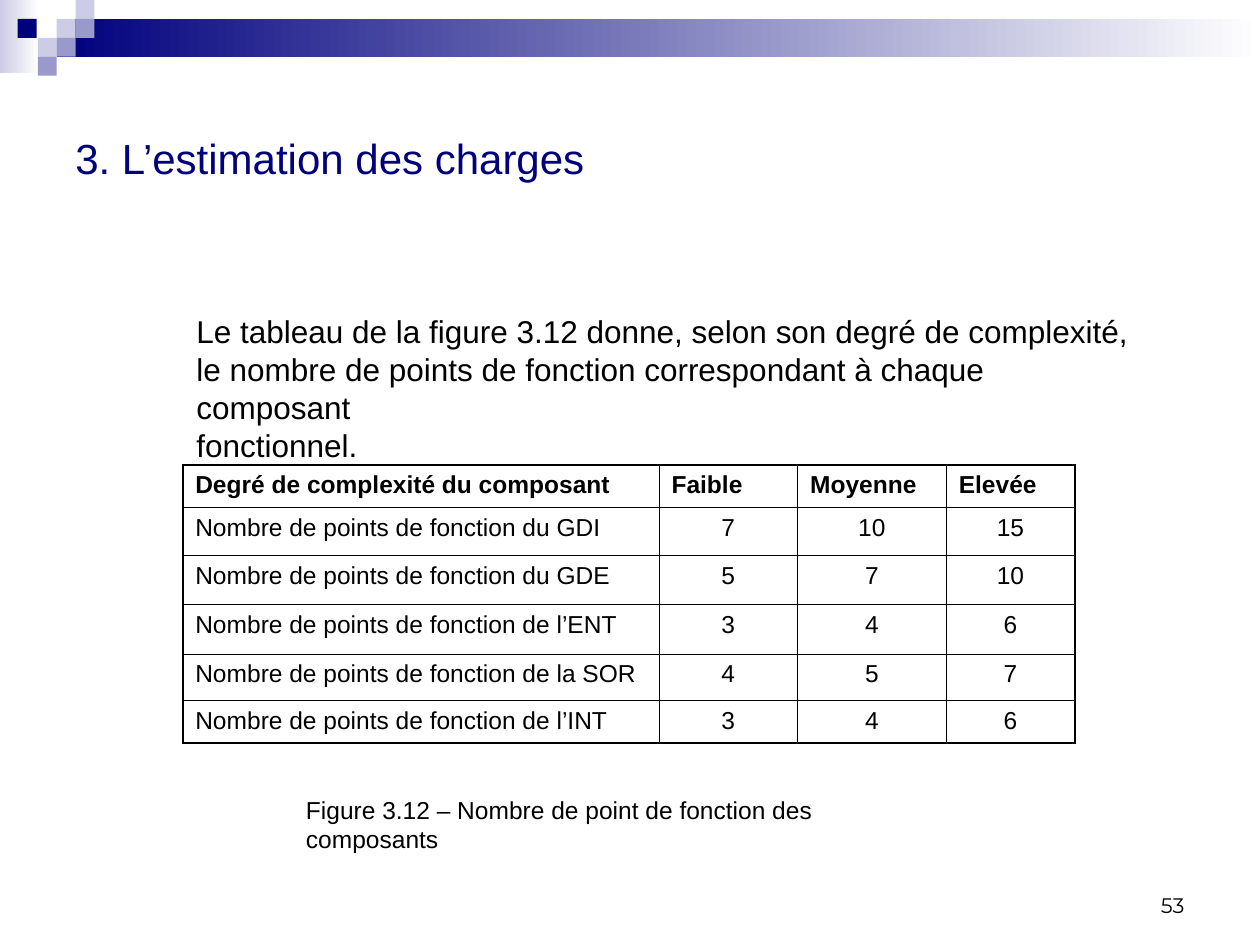
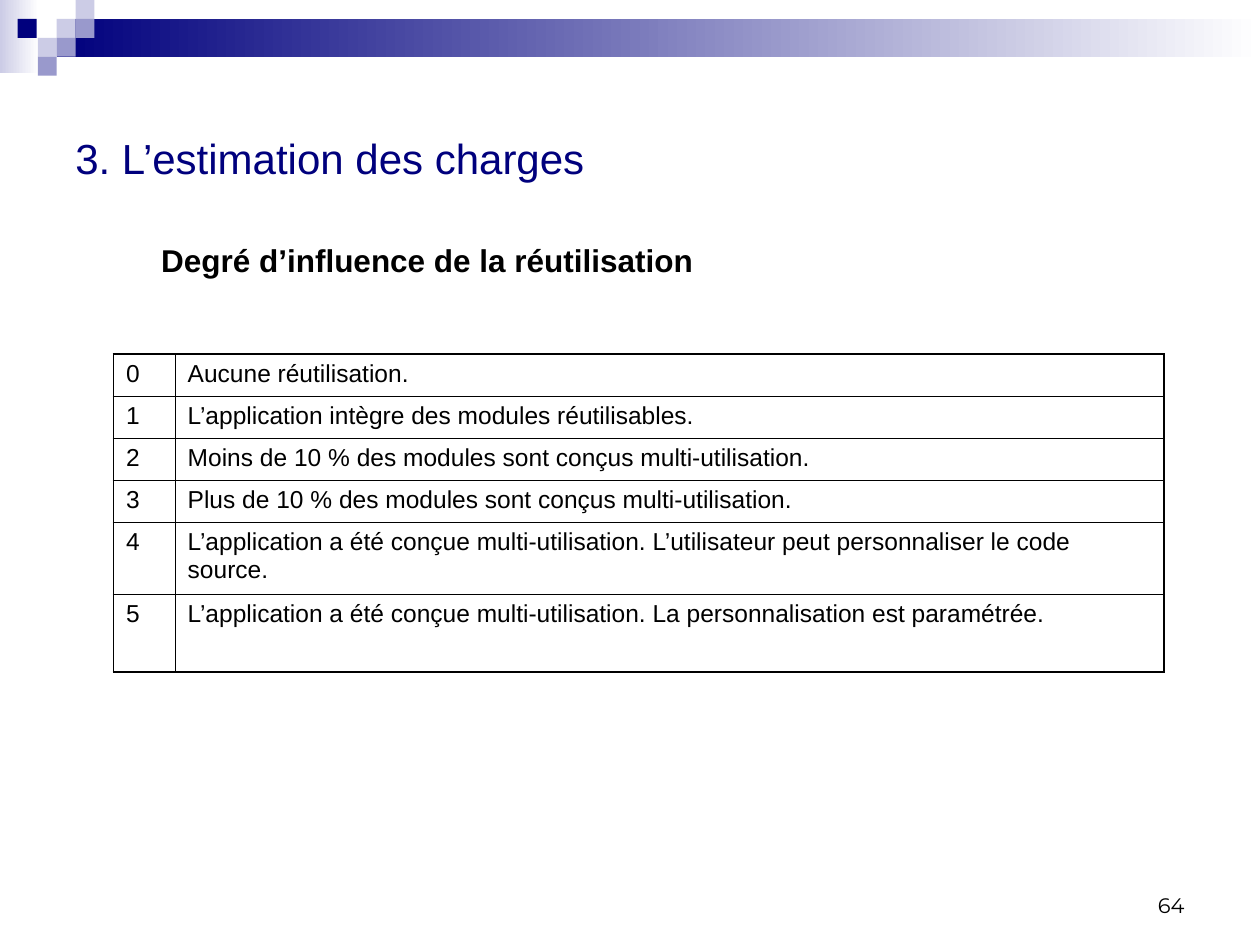
import pptx
import pptx.util
import pptx.dml.color
import pptx.enum.shapes
import pptx.enum.text
import pptx.oxml
from lxml import etree

Inches = pptx.util.Inches
ALIGN = pptx.enum.text.PP_ALIGN
ANCHOR = pptx.enum.text.MSO_ANCHOR

# Content
TITLE = "3. L’estimation des charges"
SLIDES = [
    {
        "number": "53",
        "texts": [
            {"lines": ["Figure 3.12 – Nombre de point de fonction des composants"],
             "at": (2.33, 6.26, 5.32, 0.34), "font": {"size": 14}, "wrap": False},
            {"lines": ["Le tableau de la figure 3.12 donne, selon son degré de complexité,",
                       "le nombre de points de fonction correspondant à chaque composant",
                       "fonctionnel."],
             "at": (1.46, 2.43, 7.74, 1), "font": {"size": 18}, "wrap": False},
        ],
        "table": {
            "at": (1.45, 3.69),
            "columns": [3.78, 1.1, 1.18, 1.02],
            "heights": [0.34, 0.38, 0.39, 0.39, 0.37, 0.34],
            "header": True,
            "rows": [
                ("Degré de complexité du composant", "Faible", "Moyenne", "Elevée"),
                ("Nombre de points de fonction du GDI", "7", "10", "15"),
                ("Nombre de points de fonction du GDE", "5", "7", "10"),
                ("Nombre de points de fonction de l’ENT", "3", "4", "6"),
                ("Nombre de points de fonction de la SOR", "4", "5", "7"),
                ("Nombre de points de fonction de l’INT", "3", "4", "6"),
            ],
        },
    },
    {
        "number": "64",
        "texts": [
            {"lines": ["Degré d’influence de la réutilisation"],
             "at": (0.51, 1.81, 9.13, 5.64), "font": {"size": 18, "bold": True},
             "margins": {"margin_left": 0.77, "margin_top": 0.1}},
        ],
        "table": {
            "at": (0.9, 2.81),
            "columns": [0.49, 7.85],
            "heights": [0.33, 0.33, 0.33, 0.33, 0.57, 0.62],
            "header": False,
            "rows": [
                ("0", "Aucune réutilisation."),
                ("1", "L’application intègre des modules réutilisables."),
                ("2", "Moins de 10 % des modules sont conçus multi-utilisation."),
                ("3", "Plus de 10 % des modules sont conçus multi-utilisation."),
                ("4", "L’application a été conçue multi-utilisation. "
                      "L’utilisateur peut personnaliser le code source."),
                ("5", "L’application a été conçue multi-utilisation. "
                      "La personnalisation est paramétrée."),
            ],
        },
    },
]

# Shared style
NAVY, VIOLET, PALE, WHITE, BLACK = "00007D", "9999CC", "CCCCE6", "FFFFFF", "000000"
BANDS = [((0, 0, 0.31, 0.58), PALE), ((0.45, 0.15, 9.55, 0.3), NAVY)]
SQUARE = 0.15
SQUARES = [(0.45, 0.15, PALE), (0.6, 0, PALE), (0.6, 0.15, VIOLET), (0.3, 0.3, PALE),
           (0.14, 0.15, NAVY), (0.45, 0.3, VIOLET), (0.3, 0.45, VIOLET)]
OUTER_LINE, INNER_LINE = 1.08, 0.45


def color(value):
    return pptx.dml.color.RGBColor.from_string(value)


def set_font(para, size, name="Arial", fill=BLACK, bold=False):
    for key, value in {"size": pptx.util.Pt(size), "name": name, "bold": bold}.items():
        setattr(para.font, key, value)
    para.font.color.rgb = color(fill)


def add_text(page, lines, at, font, wrap=True, align=ALIGN.LEFT, anchor=ANCHOR.TOP, margins=None):
    box = page.shapes.add_textbox(*map(Inches, at))
    frame = box.text_frame
    frame.word_wrap = wrap
    frame.vertical_anchor = anchor
    for key, value in (margins or {}).items():
        setattr(frame, key, Inches(value))
    frame.text = "\n".join(lines)
    for para in frame.paragraphs:
        para.alignment = align
        set_font(para, **font)


def add_rectangle(page, at):
    box = page.shapes.add_shape(pptx.enum.shapes.MSO_SHAPE.RECTANGLE, *map(Inches, at))
    box.shadow.inherit = False
    box.line.fill.background()
    return box


def add_frame(page, number):
    # Fading bands and small squares at the top
    for at, start in BANDS:
        fill = add_rectangle(page, at).fill
        fill.gradient()
        fill.gradient_angle = 0
        for stop, value in zip(fill.gradient_stops, (start, WHITE)):
            stop.color.rgb = color(value)
    for left, top, value in SQUARES:
        fill = add_rectangle(page, (left, top, SQUARE, SQUARE)).fill
        fill.solid()
        fill.fore_color.rgb = color(value)
    # Page number and title
    add_text(page, [number], (7.17, 6.83, 2.33, 0.5), {"size": 12, "name": "Montserrat"},
             align=ALIGN.RIGHT, anchor=ANCHOR.BOTTOM)
    add_text(page, [TITLE], (0.5, 0.5, 9, 1.5), {"size": 24, "fill": NAVY}, anchor=ANCHOR.MIDDLE)


def add_borders(cell, outer_sides):
    properties = cell._tc.get_or_add_tcPr()
    for side in "LRTB":
        width = OUTER_LINE if side in outer_sides else INNER_LINE
        line = etree.SubElement(properties, pptx.oxml.ns.qn(f"a:ln{side}"),
                                w=str(int(pptx.util.Pt(width))))
        fill = etree.SubElement(line, pptx.oxml.ns.qn("a:solidFill"))
        etree.SubElement(fill, pptx.oxml.ns.qn("a:srgbClr"), val=BLACK)


def add_grid(page, at, columns, heights, header, rows):
    size = (sum(columns), sum(heights))
    table = page.shapes.add_table(len(rows), len(columns), *map(Inches, at + size)).table
    table.first_row = header
    table.horz_banding = False
    for column, width in zip(table.columns, columns):
        column.width = Inches(width)
    for row, height in zip(table.rows, heights):
        row.height = Inches(height)
    last_row, last_column = len(rows) - 1, len(columns) - 1
    for r, texts in enumerate(rows):
        for c, text in enumerate(texts):
            cell = table.cell(r, c)
            cell.text = text
            para = cell.text_frame.paragraphs[0]
            is_value = header and r > 0 and c > 0
            para.alignment = ALIGN.CENTER if is_value else ALIGN.LEFT
            set_font(para, 14, bold=header and r == 0)
            edges = {"L": c == 0, "R": c == last_column, "T": r == 0, "B": r == last_row}
            add_borders(cell, [side for side, is_outer in edges.items() if is_outer])
            cell.fill.background()


def main():
    deck = pptx.Presentation()
    deck.slide_width, deck.slide_height = Inches(10), Inches(7.5)
    for content in SLIDES:
        page = deck.slides.add_slide(deck.slide_layouts[6])
        add_frame(page, content["number"])
        for text in content["texts"]:
            add_text(page, **text)
        add_grid(page, **content["table"])
    deck.save("out.pptx")


if __name__ == "__main__":
    main()
